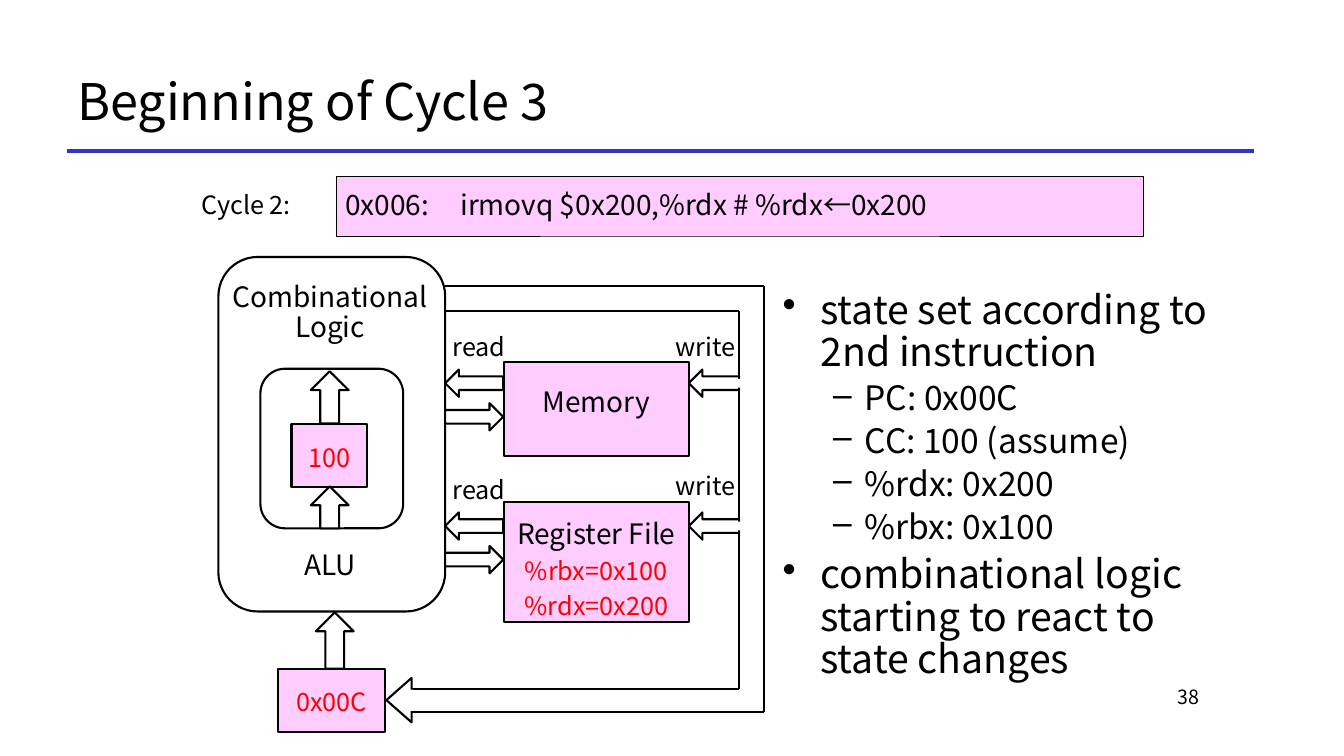
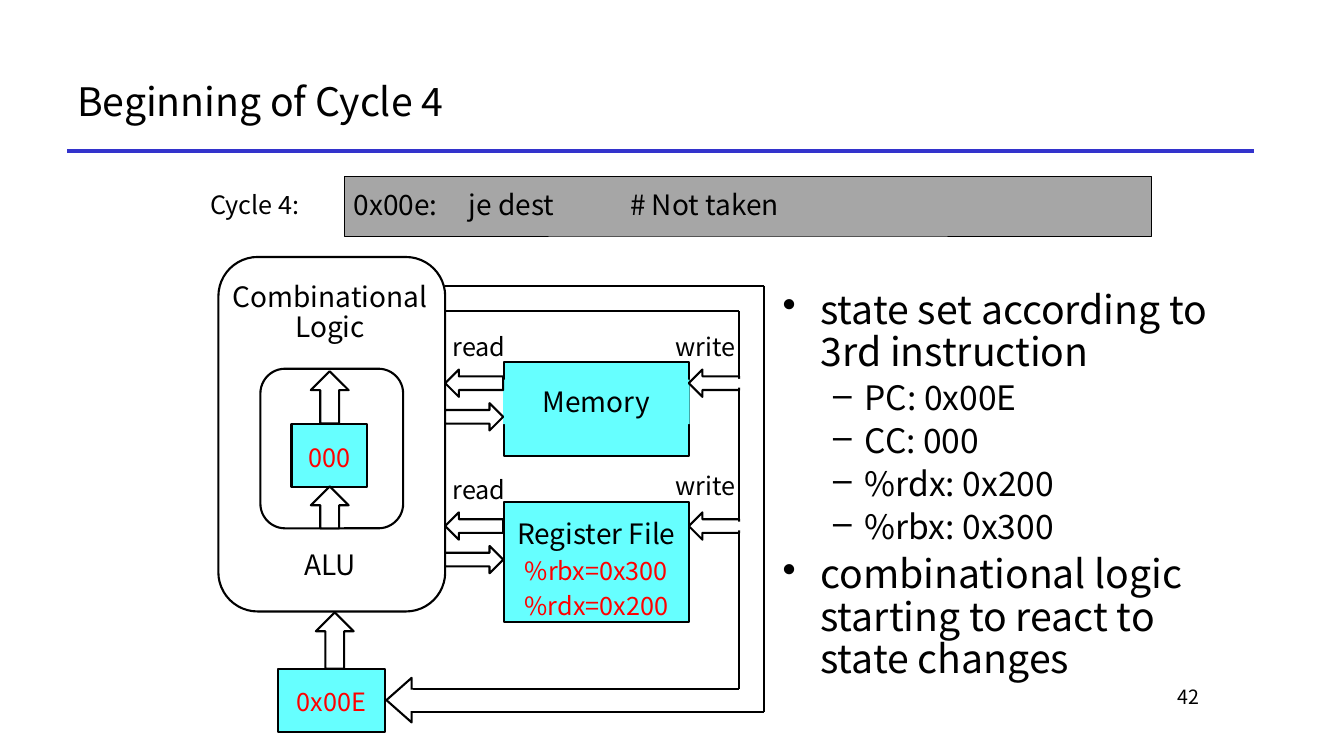
import dataclasses

import lxml.etree
import pptx
import pptx.dml.color
import pptx.enum.shapes
import pptx.enum.text
import pptx.oxml.ns
import pptx.util


@dataclasses.dataclass(frozen=True)
class Theme:
    font: str = "Noto Sans CJK KR"
    black: str = "000000"
    white: str = "FFFFFF"
    rule: str = "3333CC"
    value: str = "FF0000"
    pink: str = "FFCCFF"
    cyan: str = "66FFFF"
    gray: str = "A6A6A6"
    heading: int = 28
    detail: int = 24
    label: int = 20
    small: int = 18
    number: int = 14
    outline: float = 1.5
    hairline: float = 0.5
    rule_width: float = 3


theme = Theme()
kinds = pptx.enum.shapes.MSO_SHAPE
align = pptx.enum.text.PP_ALIGN
anchors = pptx.enum.text.MSO_ANCHOR
qn = pptx.oxml.ns.qn
rgb = pptx.dml.color.RGBColor.from_string

presentation = pptx.Presentation()
presentation.slide_width = pptx.util.Inches(13.333)
presentation.slide_height = pptx.util.Inches(7.5)
columns, rows = 160, 90
unit = presentation.slide_height / rows


def place(slide, kind, box, fill=None, outline=None, adjustment=None):
    lengths = [round(length * unit) for length in box]
    if kind is None:
        return slide.shapes.add_textbox(*lengths)
    shape = slide.shapes.add_shape(kind, *lengths)
    shape.shadow.inherit = False
    shape.fill.solid()
    shape.fill.fore_color.rgb = rgb(fill)
    if outline:
        shape.line.color.rgb = rgb(theme.black)
        shape.line.width = pptx.util.Pt(outline)
    else:
        shape.line.fill.background()
    if adjustment is not None:
        shape.adjustments[len(shape.adjustments) - 1] = adjustment
    return shape


def write(shape, *lines, size=theme.label, color=theme.black, alignment=align.LEFT,
          anchor=anchors.TOP, spacing=None, side=1.2, top=0.6, tabs=()):
    frame = shape.text_frame
    frame.word_wrap = True
    frame.vertical_anchor = anchor
    frame.margin_left = frame.margin_right = round(side * unit)
    frame.margin_top = round(top * unit)
    frame.margin_bottom = round(0.6 * unit)
    for index, line in enumerate(lines):
        style = {"size": size, "color": color}
        if isinstance(line, tuple):
            line, changes = line
            style.update(changes)
        paragraph = frame.add_paragraph() if index else frame.paragraphs[0]
        properties = paragraph._p.get_or_add_pPr()
        if "bullet" in style:
            paragraph.level = style["level"]
            left, hanging = style["indent"]
            properties.set("marL", str(round(left * unit)))
            properties.set("indent", str(round(-hanging * unit)))
            lxml.etree.SubElement(properties, qn("a:buChar"), char=style["bullet"])
        if tabs:
            tab_list = lxml.etree.SubElement(properties, qn("a:tabLst"))
            for tab in tabs:
                lxml.etree.SubElement(tab_list, qn("a:tab"), pos=str(round(tab * unit)), algn="l")
        paragraph.alignment = alignment
        if spacing:
            paragraph.line_spacing = spacing
        if index:
            paragraph.space_before = pptx.util.Pt(style["size"] * 0.2)
        run = paragraph.add_run()
        run.text = line
        run.font.name = theme.font
        run.font.size = pptx.util.Pt(style["size"])
        run.font.color.rgb = rgb(style["color"])


cycles = [
    {"title": "Beginning of Cycle 3", "title_size": 36, "page": "38", "shift": 0,
     "cycle": "Cycle 2:", "code": "0x006:\tirmovq $0x200,%rdx # %rdx←0x200",
     "band": theme.pink, "block": theme.pink, "memory_label": None,
     "ordinal": "2nd", "pc": "0x00C", "cc": "100", "assumption": " (assume)",
     "rdx": "0x200", "rbx": "0x100"},
    {"title": "Beginning of Cycle 4", "title_size": 28, "page": "42", "shift": 1,
     "cycle": "Cycle 4:", "code": "0x00e:\tje dest\t# Not taken",
     "band": theme.gray, "block": theme.cyan, "memory_label": kinds.RECTANGLE,
     "ordinal": "3rd", "pc": "0x00E", "cc": "000", "assumption": "",
     "rdx": "0x200", "rbx": "0x300"},
]

logic_right, block_left, block_right = 53, 60, 82
inner_wire, outer_wire = 88, 91
wires = [
    (logic_right, 37, inner_wire, 37),
    (logic_right, 34, outer_wire, 34),
    (inner_wire, 37, inner_wire, 82),
    (outer_wire, 34, outer_wire, 84.75),
    (48, 82, inner_wire, 82),
    (48, 84.75, outer_wire, 84.75),
]
lines = [(8, 18, 149.3, 18, theme.rule, theme.rule_width)]
lines += [(*wire, theme.black, theme.outline) for wire in wires]
port_height = 3.25
ports = [(44, 38.9), (61, 55.4)]
up_arrows = [(37.6, 72.9, 4.5, 6.7), (37, 44.2, 4.5, 6.2), (37, 57.9, 4.5, 5)]
heading = {"size": theme.heading, "level": 0, "bullet": "•", "indent": (4.5, 4.5)}
detail = {"size": theme.detail, "level": 1, "bullet": "–", "indent": (9.75, 3.75)}

for cycle in cycles:
    slide = presentation.slides.add_slide(presentation.slide_layouts[6])
    block = cycle["block"]
    values = {"size": theme.small, "color": theme.value}

    write(place(slide, None, (8, 6, 141.3, 12)), cycle["title"],
          size=cycle["title_size"], anchor=anchors.MIDDLE)
    write(place(slide, None, (121.3, 81, 22.7, 6)), cycle["page"],
          size=theme.number, alignment=align.RIGHT)

    register = place(slide, kinds.RECTANGLE, (block_left, 59.8, 22, 14.3), block, theme.outline)
    write(register, "Register File", (f"%rbx={cycle['rbx']}", values),
          (f"%rdx={cycle['rdx']}", values), alignment=align.CENTER, side=0, top=1.7)
    place(slide, kinds.RECTANGLE, (block_left, 43.1, 22, 11.2), block, theme.outline)
    write(place(slide, cycle["memory_label"], (59.9, 45.2, 22.2, 5.3), block),
          "Memory", alignment=align.CENTER)

    for box in [(26, 30.6, 27, 42.2), (31, 43.9, 17, 19)]:
        place(slide, kinds.ROUNDED_RECTANGLE, box, theme.white, theme.outline, 0.173)
    for label, top, height in [("Combinational Logic", 33.1, 8.5), ("ALU", 65, 4.8)]:
        write(place(slide, None, (26.3, top, 26, height)), label,
              alignment=align.CENTER, spacing=0.9)
    for value, box in [("cc", (34.7, 50.5, 9, 7.5)), ("pc", (33.1, 79.6, 12.7, 7.5))]:
        write(place(slide, kinds.RECTANGLE, box, block, theme.outline), cycle[value],
              alignment=align.CENTER, side=0, top=2.1, **values)

    for left, top, right, bottom, color, width in lines:
        connector = slide.shapes.add_connector(
            pptx.enum.shapes.MSO_CONNECTOR.STRAIGHT,
            *[round(length * unit) for length in (left, top, right, bottom)])
        connector.line.color.rgb = rgb(color)
        connector.line.width = pptx.util.Pt(width)
        lxml.etree.SubElement(connector._element.spPr, qn("a:effectLst"))

    place(slide, kinds.LEFT_ARROW, (46, 80.7, 3, 5.3), theme.white, theme.outline, 1)
    place(slide, kinds.RECTANGLE, (48, 82.1, 1.2, 2.55), theme.white)
    for box in up_arrows:
        place(slide, kinds.UP_ARROW, box, theme.white, theme.outline)

    for port, write_label in ports:
        read_width = block_left - logic_right - 0.1
        for kind, left, top, width in [
            (kinds.LEFT_ARROW, logic_right, port, read_width),
            (kinds.RIGHT_ARROW, logic_right, port + 4, read_width),
            (kinds.LEFT_ARROW, block_right, port, inner_wire - block_right),
        ]:
            place(slide, kind, (left, top, width, port_height), theme.white, theme.outline)
        place(slide, kinds.RECTANGLE, (inner_wire - 0.5, port + 1.1, 1, 1.05), theme.white)
        write(place(slide, None, (52.7, port - 5.1, 9.4, 4.8)), "read", size=theme.small)
        write(place(slide, None, (79.2, write_label, 11.8, 4.8)), "write", size=theme.small)

    write(place(slide, None, (92, 34, 57.5, 48)),
          (f"state set according to {cycle['ordinal']} instruction", heading),
          (f"PC: {cycle['pc']}", detail),
          (f"CC: {cycle['cc']}{cycle['assumption']}", detail),
          (f"%rdx: {cycle['rdx']}", detail),
          (f"%rbx: {cycle['rbx']}", detail),
          ("combinational logic starting to react to state changes", heading),
          spacing=0.9)

    band_left = columns / 4 + cycle["shift"]
    band = place(slide, kinds.RECTANGLE, (band_left, 21, 96.1, 7.1),
                 cycle["band"], theme.hairline)
    write(band, cycle["code"], anchor=anchors.MIDDLE, spacing=0.9, side=1.1, tabs=(13.7, 32.9))
    write(place(slide, None, (band_left - 16, 21, 14, 7.1)), cycle["cycle"],
          size=theme.small, anchor=anchors.MIDDLE, spacing=0.9, side=0)

presentation.save("out.pptx")
